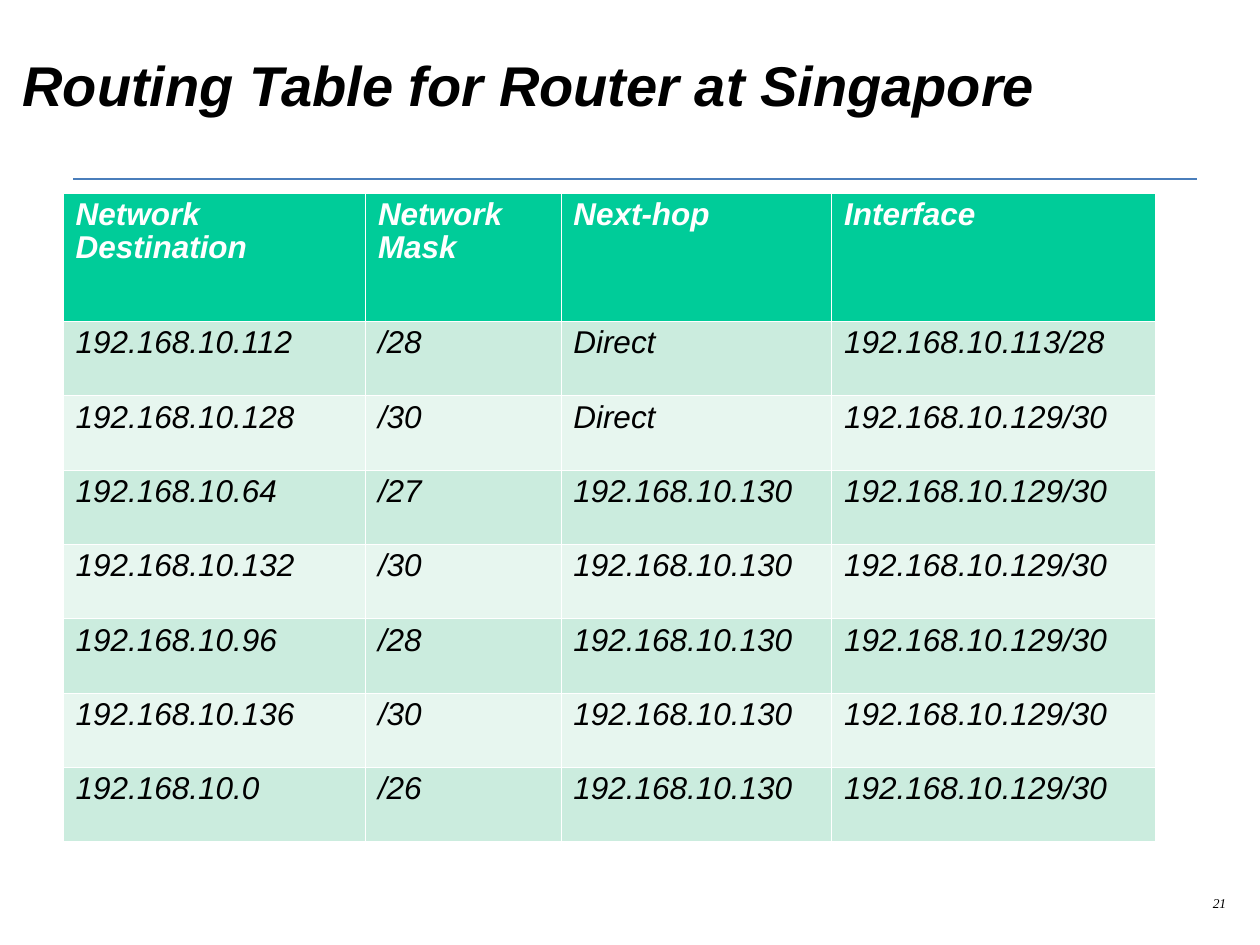
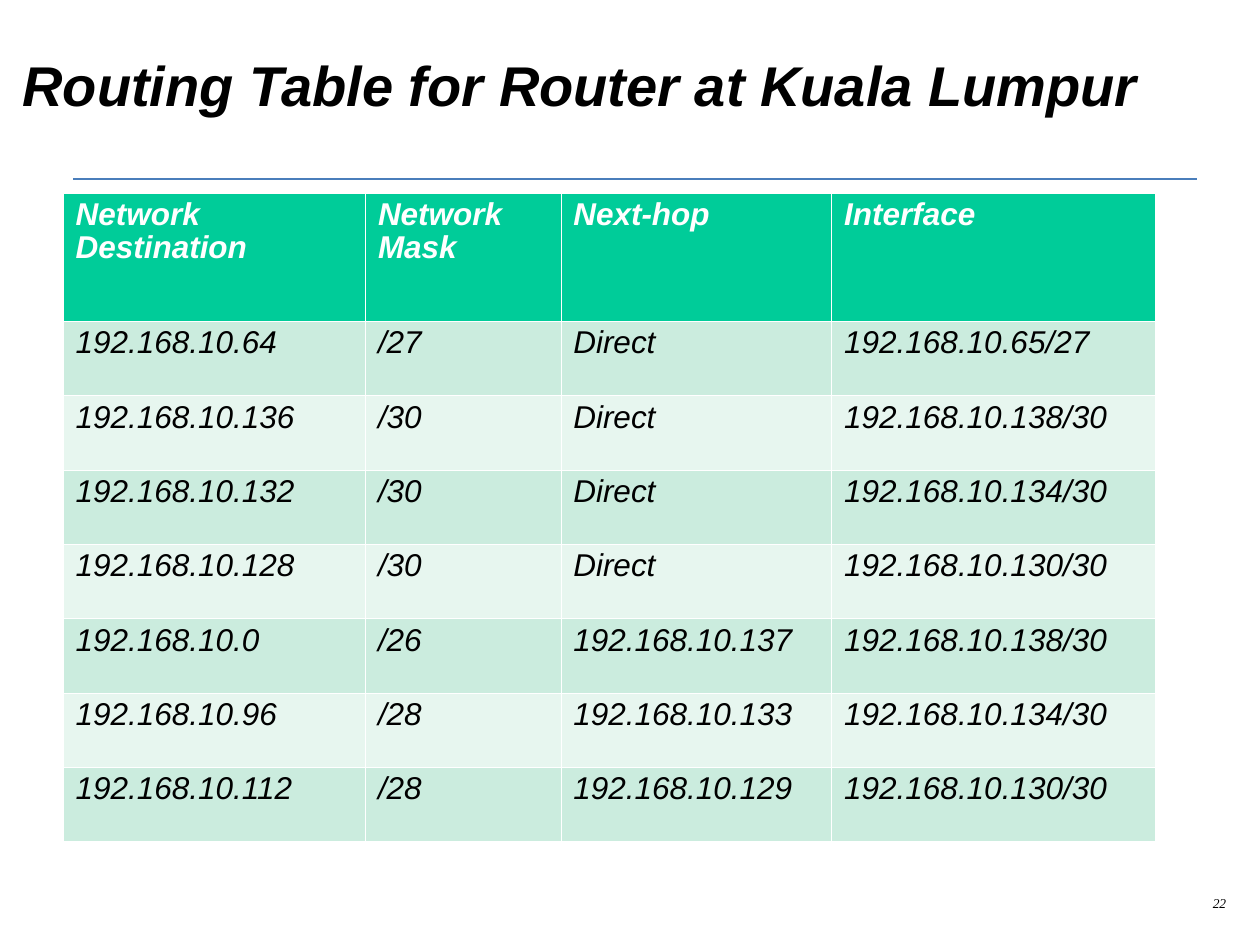
from lxml.etree import SubElement
from pptx import Presentation
from pptx.dml.color import RGBColor
from pptx.enum.shapes import MSO_CONNECTOR
from pptx.enum.text import MSO_ANCHOR, PP_ALIGN
from pptx.oxml.ns import qn
from pptx.util import Inches, Pt

# Content
HEADINGS = ("Network Destination", "Network Mask", "Next-hop", "Interface")
FIRST_PAGE = 21
ROUTERS = [
    ("Singapore", [
        ("192.168.10.112", "/28", "Direct", "192.168.10.113/28"),
        ("192.168.10.128", "/30", "Direct", "192.168.10.129/30"),
        ("192.168.10.64", "/27", "192.168.10.130", "192.168.10.129/30"),
        ("192.168.10.132", "/30", "192.168.10.130", "192.168.10.129/30"),
        ("192.168.10.96", "/28", "192.168.10.130", "192.168.10.129/30"),
        ("192.168.10.136", "/30", "192.168.10.130", "192.168.10.129/30"),
        ("192.168.10.0", "/26", "192.168.10.130", "192.168.10.129/30"),
    ]),
    ("Kuala Lumpur", [
        ("192.168.10.64", "/27", "Direct", "192.168.10.65/27"),
        ("192.168.10.136", "/30", "Direct", "192.168.10.138/30"),
        ("192.168.10.132", "/30", "Direct", "192.168.10.134/30"),
        ("192.168.10.128", "/30", "Direct", "192.168.10.130/30"),
        ("192.168.10.0", "/26", "192.168.10.137", "192.168.10.138/30"),
        ("192.168.10.96", "/28", "192.168.10.133", "192.168.10.134/30"),
        ("192.168.10.112", "/28", "192.168.10.129", "192.168.10.130/30"),
    ]),
]

# Shared look, lengths in inches
WIDTH, HEIGHT = 10, 7.5
BLACK, WHITE = "000000", "FFFFFF"
RULE, HEADER = "4A7EBB", "00CC99"
BANDS = ("E7F6EF", "CBECDE")
TITLE_BOX = (0.08, 0.17, 9.83, 1)
NUMBER_BOX = (7.75, 7.08, 2.08, 0.25)
RULE_LEFT, RULE_RIGHT, RULE_TOP = 0.58, 9.5, 1.42
TABLE_LEFT, TABLE_TOP = 0.5, 1.53
COLUMN_WIDTHS = (2.4, 1.55, 2.15, 2.57)
HEADER_HEIGHT, ROW_HEIGHT = 1.02, 0.59
THIN, THICK = 0.23, 0.75


def color(value):
    return RGBColor.from_string(value)


def write(frame, text, size=18, font="Arial", ink=BLACK, bold=False,
          align=PP_ALIGN.LEFT, spacing=None):
    frame.word_wrap = True
    paragraph = frame.paragraphs[0]
    paragraph.alignment = align
    paragraph.line_spacing = spacing
    run = paragraph.add_run()
    run.text = text
    run.font.size, run.font.name = Pt(size), font
    run.font.bold, run.font.italic = bold, True
    run.font.color.rgb = color(ink)


def add_text(slide, box, text, anchor=MSO_ANCHOR.TOP, **style):
    frame = slide.shapes.add_textbox(*map(Inches, box)).text_frame
    frame.vertical_anchor = anchor
    write(frame, text, **style)


def add_rule(slide):
    rule = slide.shapes.add_connector(
        MSO_CONNECTOR.STRAIGHT, Inches(RULE_LEFT), Inches(RULE_TOP),
        Inches(RULE_RIGHT), Inches(RULE_TOP))
    rule.line.color.rgb = color(RULE)
    rule.line.width = Pt(0.75)
    SubElement(rule._element.spPr, qn("a:effectLst"))


def set_borders(cell, top, bottom):
    properties = cell._tc.get_or_add_tcPr()
    widths = {"a:lnL": THIN, "a:lnR": THIN, "a:lnT": top, "a:lnB": bottom}
    for tag, width in widths.items():
        line = SubElement(properties, qn(tag), w=str(Pt(width)))
        fill = SubElement(line, qn("a:solidFill"))
        SubElement(fill, qn("a:srgbClr"), val=WHITE)


def add_routing_table(slide, routes):
    rows = [HEADINGS, *routes]
    heights = [HEADER_HEIGHT] + [ROW_HEIGHT] * len(routes)
    table = slide.shapes.add_table(
        len(rows), len(HEADINGS), Inches(TABLE_LEFT), Inches(TABLE_TOP),
        Inches(sum(COLUMN_WIDTHS)), Inches(sum(heights))).table
    for column, width in zip(table.columns, COLUMN_WIDTHS):
        column.width = Inches(width)
    for index, (values, height) in enumerate(zip(rows, heights)):
        table.rows[index].height = Inches(height)
        is_header = index == 0
        for cell, value in zip(table.rows[index].cells, values):
            set_borders(cell, top=THICK if index == 1 else THIN,
                        bottom=THICK if is_header else THIN)
            cell.fill.solid()
            cell.fill.fore_color.rgb = color(HEADER if is_header else BANDS[index % 2])
            write(cell.text_frame, value, bold=is_header,
                  ink=WHITE if is_header else BLACK, spacing=0.93)


def main():
    presentation = Presentation()
    presentation.slide_width, presentation.slide_height = Inches(WIDTH), Inches(HEIGHT)
    for page, (city, routes) in enumerate(ROUTERS, FIRST_PAGE):
        slide = presentation.slides.add_slide(presentation.slide_layouts[6])
        add_rule(slide)
        add_text(slide, NUMBER_BOX, str(page), size=7.7, font="Times New Roman",
                 align=PP_ALIGN.RIGHT, spacing=0.8)
        add_text(slide, TITLE_BOX, f"Routing Table for Router at {city}",
                 anchor=MSO_ANCHOR.MIDDLE, size=32, bold=True)
        add_routing_table(slide, routes)
    presentation.save("out.pptx")


if __name__ == "__main__":
    main()
